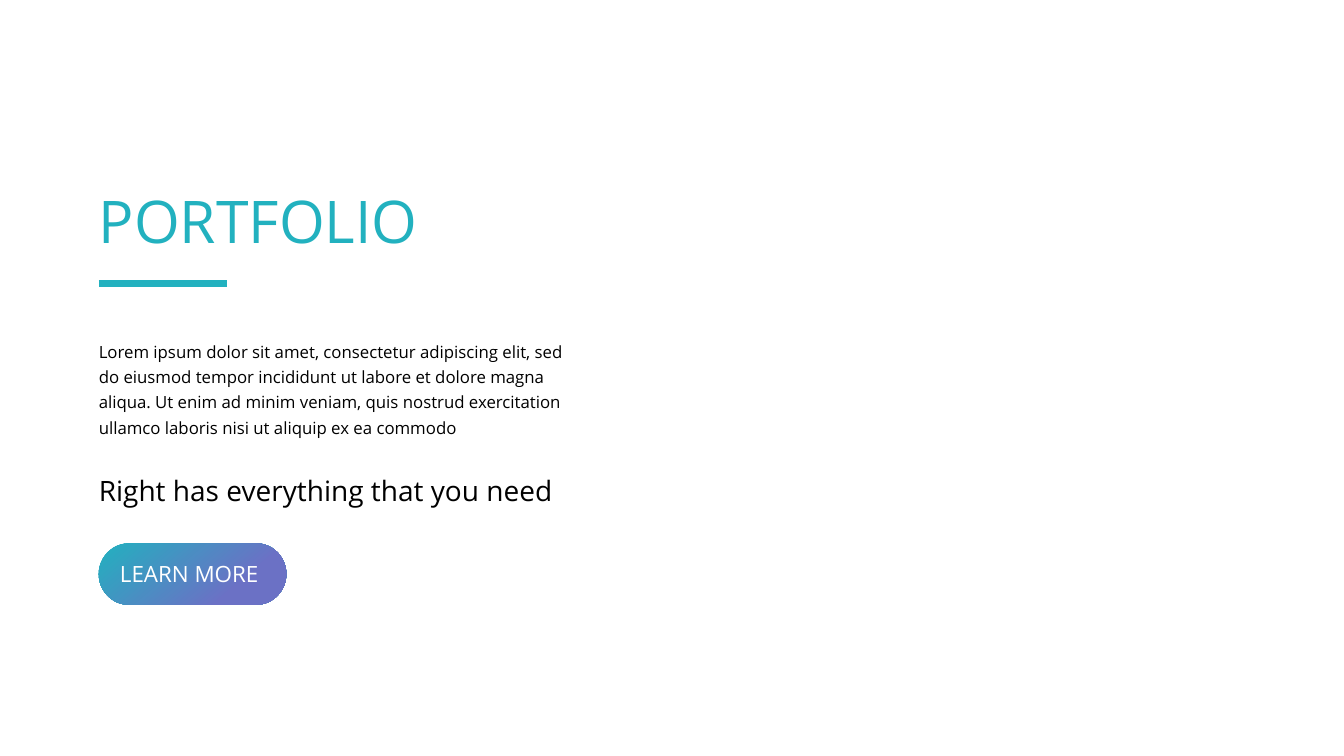
from pptx import Presentation
from pptx.dml.color import RGBColor
from pptx.enum.shapes import MSO_CONNECTOR, MSO_SHAPE
from pptx.enum.text import MSO_AUTO_SIZE
from pptx.oxml.ns import qn
from pptx.util import Inches, Pt
from lxml import etree

STRAIGHT = MSO_CONNECTOR.STRAIGHT
TERMINATOR = MSO_SHAPE.FLOWCHART_TERMINATOR
FIT_SHAPE = MSO_AUTO_SIZE.SHAPE_TO_FIT_TEXT

FONT = "Open Sans"
COLORS = {"teal": "22B1BF", "violet": "6B71C5", "black": "000000", "white": "FFFFFF"}
LEFT = 0.98


def color(name):
    return RGBColor.from_string(COLORS[name])


def add_text(shapes, text, box, size, color_name, wrap=True, line_spacing=None):
    """Add a margin-free text box; box is left, top, width, height in inches."""
    textbox = shapes.add_textbox(*(Inches(value) for value in box))
    frame = textbox.text_frame
    frame.margin_left = frame.margin_right = 0
    frame.margin_top = frame.margin_bottom = 0
    frame.word_wrap = wrap
    frame.auto_size = FIT_SHAPE
    paragraph = frame.paragraphs[0]
    if line_spacing:
        paragraph.line_spacing = line_spacing
    run = paragraph.add_run()
    run.text = text
    run.font.name = FONT
    run.font.size = Pt(size)
    run.font.color.rgb = color(color_name)


prs = Presentation()
prs.slide_width = Inches(13.33)
prs.slide_height = Inches(7.5)
slide = prs.slides.add_slide(prs.slide_layouts[6])
slide.background.fill.solid()
slide.background.fill.fore_color.rgb = color("white")

# Heading and tagline
add_text(slide.shapes, "PORTFOLIO", (LEFT, 1.83, 3.78, 0.71), 42, "teal")
add_text(slide.shapes, "Right has everything that you need",
         (LEFT, 4.7, 4.73, 0.34), 20, "black", wrap=False)

# Button
button = slide.shapes.add_group_shape()
pill = button.shapes.add_shape(
    TERMINATOR, Inches(LEFT), Inches(5.39), Inches(1.86), Inches(0.61))
pill.shadow.inherit = False
pill.line.fill.background()
pill.fill.gradient()
pill.fill.gradient_angle = 310
for stop, (name, position) in zip(pill.fill.gradient_stops,
                                  (("teal", 0), ("violet", 0.73))):
    stop.color.rgb = color(name)
    stop.position = position
add_text(button.shapes, "LEARN MORE", (1.19, 5.56, 1.42, 0.27), 16, "white", wrap=False)

# Body text
add_text(slide.shapes,
         "Lorem ipsum dolor sit amet, consectetur adipiscing elit, sed do eiusmod "
         "tempor incididunt ut labore et dolore magna aliqua. Ut enim ad minim veniam, "
         "quis nostrud exercitation ullamco laboris nisi ut aliquip ex ea commodo",
         (LEFT, 3.34, 4.73, 1.01), 12, "black", line_spacing=1.25)

# Rule under the heading
rule = slide.shapes.add_connector(
    STRAIGHT, Inches(LEFT), Inches(2.81), Inches(2.25), Inches(2.81))
rule.line.color.rgb = color("teal")
rule.line.width = Pt(5.25)
etree.SubElement(rule._element.spPr, qn("a:effectLst"))

prs.save("out.pptx")
